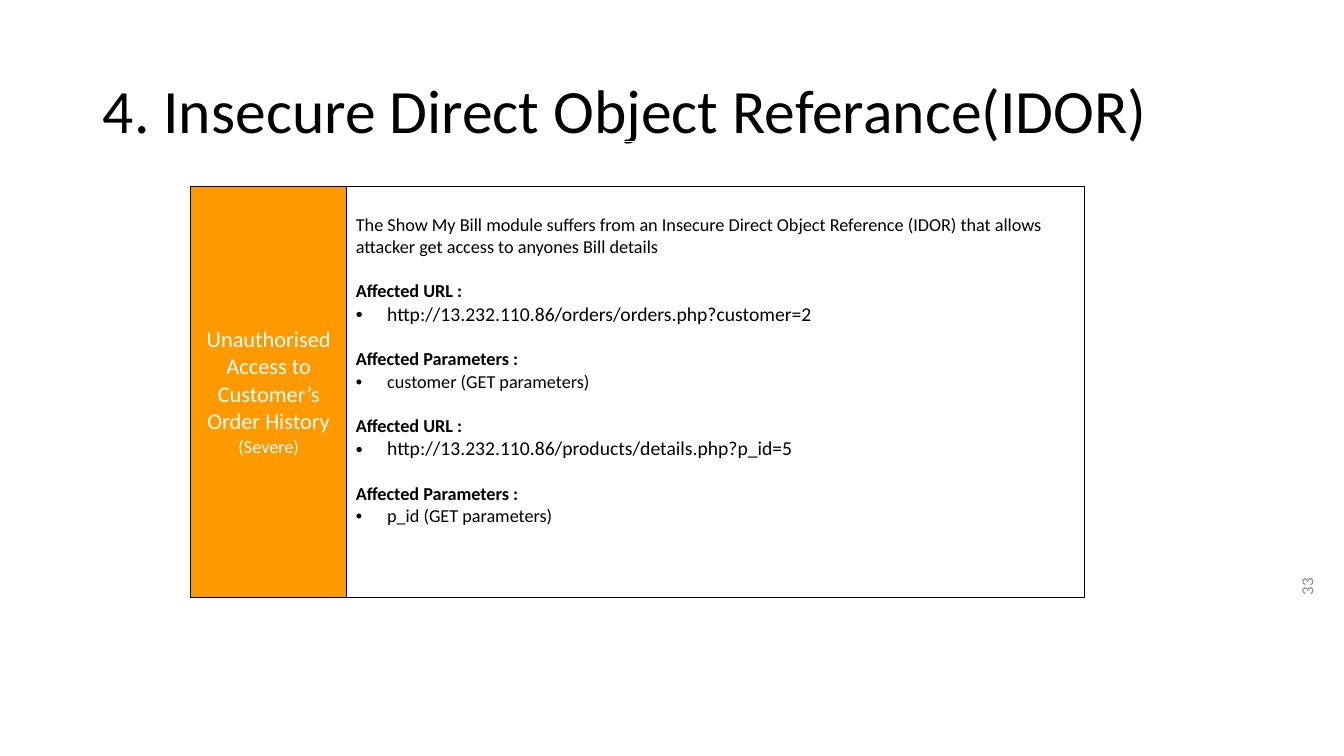
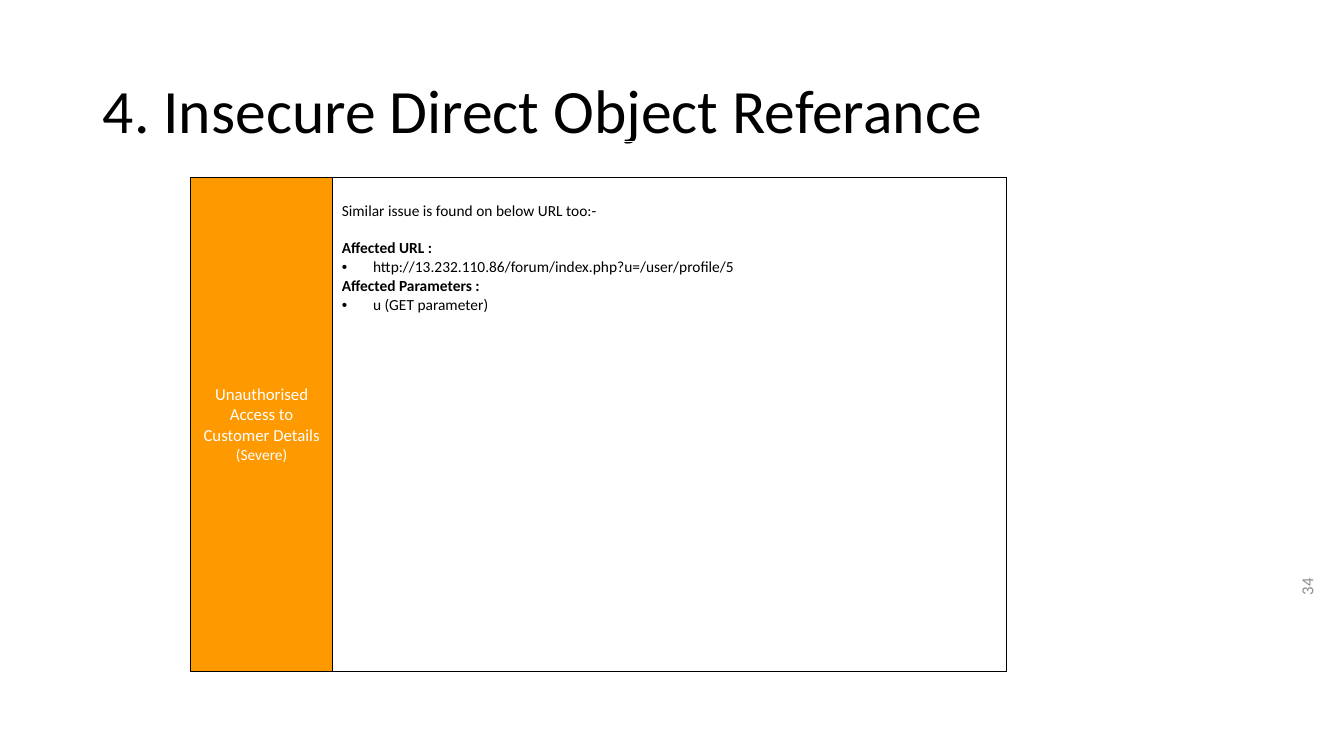
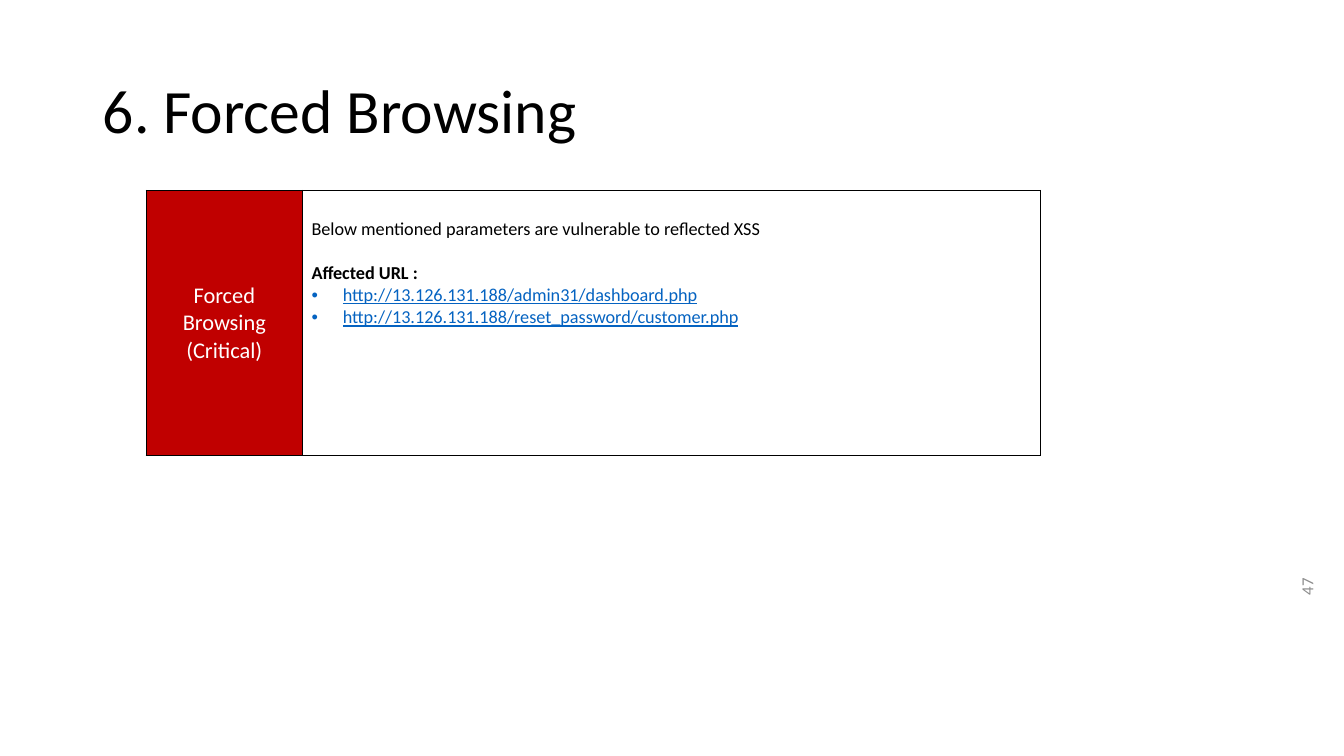
from dataclasses import dataclass

from lxml import etree
from pptx import Presentation
from pptx.dml.color import RGBColor
from pptx.enum import text
from pptx.oxml.ns import qn
from pptx.util import Inches, Pt


@dataclass(frozen=True)
class Theme:
    font: str = "Calibri"
    ink: str = "000000"
    paper: str = "FFFFFF"
    link: str = "0563C1"
    muted: str = "8C8C8C"
    severe: str = "FF9900"
    critical: str = "C00000"
    title_size: int = 44
    number_size: int = 12
    border: int = 1
    line_height: float = 1.22
    bullet_indent: float = 0.31


THEME = Theme()


@dataclass(frozen=True)
class Line:
    """One paragraph of a finding; gap puts one line of space above it."""
    words: str
    size: int
    kind: str = "plain"
    gap: bool = False


@dataclass(frozen=True)
class Finding:
    title: str
    number: str
    left: float
    top: float
    columns: tuple
    rows: tuple
    color: str
    label: tuple
    body_size: int
    body: tuple


FINDINGS = (
    Finding(
        "4. Insecure Direct Object Referance(IDOR)", "33",
        1.89, 1.4, (1.55, 7.32), (0.45, 4.08), THEME.severe,
        (Line("Unauthorised Access to Customer’s Order History", 16),
         Line("(Severe)", 13)),
        13,
        (Line("The Show My Bill module suffers from an Insecure Direct Object "
              "Reference (IDOR) that allows attacker get access to anyones "
              "Bill details", 13),
         Line("Affected URL :", 13, "heading", True),
         Line("http://13.232.110.86/orders/orders.php?customer=2", 14, "bullet"),
         Line("Affected Parameters :", 13, "heading", True),
         Line("customer (GET parameters)", 13, "bullet"),
         Line("Affected URL :", 13, "heading", True),
         Line("http://13.232.110.86/products/details.php?p_id=5", 14, "bullet"),
         Line("Affected Parameters :", 13, "heading", True),
         Line("p_id (GET parameters)", 13, "bullet"))),
    Finding(
        "4. Insecure Direct Object Referance", "34",
        1.89, 1.4, (1.41, 6.68), (0.36, 4.9), THEME.severe,
        (Line("Unauthorised Access to Customer Details", 12),
         Line("(Severe)", 11)),
        11,
        (Line("Similar issue is found on below URL too:-", 11),
         Line("Affected URL :", 11, "heading", True),
         Line("http://13.232.110.86/forum/index.php?u=/user/profile/5", 11,
              "bullet"),
         Line("Affected Parameters :", 11, "heading"),
         Line("u (GET parameter)", 11, "bullet"))),
    Finding(
        "6. Forced Browsing", "47",
        1.45, 1.43, (1.55, 7.32), (0.46, 2.63), THEME.critical,
        (Line("Forced Browsing", 16), Line("(Critical)", 16)),
        13,
        (Line("Below mentioned parameters are vulnerable to reflected XSS", 13),
         Line("Affected URL :", 13, "heading", True),
         Line("http://13.126.131.188/admin31/dashboard.php", 13, "link"),
         Line("http://13.126.131.188/reset_password/customer.php", 13, "link"))),
)


def style(para, size, color):
    para.font.name = THEME.font
    para.font.size = Pt(size)
    para.font.color.rgb = RGBColor.from_string(color)


def add_bullet(para):
    properties = para._p.get_or_add_pPr()
    indent = Inches(THEME.bullet_indent)
    properties.set("marL", str(indent))
    properties.set("indent", str(-indent))
    etree.SubElement(properties, qn("a:buFont")).set("typeface", "Arial")
    etree.SubElement(properties, qn("a:buChar")).set("char", "•")


def write_lines(frame, lines, color, align):
    for index, line in enumerate(lines):
        para = frame.add_paragraph() if index else frame.paragraphs[0]
        para.text = line.words
        if line.kind in ("bullet", "link"):
            add_bullet(para)
        para.alignment = align
        if line.gap:
            para.space_before = Pt(line.size * THEME.line_height)
        style(para, line.size, THEME.link if line.kind == "link" else color)
        if line.kind == "heading":
            para.font.bold = True
        if line.kind == "link":
            para.font.underline = True


def add_borders(cell, sides):
    properties = cell._tc.get_or_add_tcPr()
    for side in sides:
        edge = etree.SubElement(properties, qn(f"a:ln{side}"))
        edge.set("w", str(Pt(THEME.border)))
        fill = etree.SubElement(edge, qn("a:solidFill"))
        etree.SubElement(fill, qn("a:srgbClr")).set("val", THEME.ink)


def fill_cell(cell, color):
    add_borders(cell, "LRTB")
    cell.fill.solid()
    cell.fill.fore_color.rgb = RGBColor.from_string(color)
    cell.margin_left = cell.margin_right = Inches(0.09)
    cell.margin_top = cell.margin_bottom = Inches(0.05)


def set_title(page, words):
    title = page.shapes.title
    title.left, title.top = Inches(0.92), Inches(0.4)
    title.width, title.height = Inches(11.5), Inches(1.45)
    frame = title.text_frame
    frame.text = words
    frame.vertical_anchor = text.MSO_ANCHOR.MIDDLE
    para = frame.paragraphs[0]
    para.alignment = text.PP_ALIGN.LEFT
    para.line_spacing = 0.9
    style(para, THEME.title_size, THEME.ink)


def add_page_number(page, number):
    box = page.shapes.add_textbox(
        Inches(12.24), Inches(6.11), Inches(1.44), Inches(0.5))
    box.rotation = 270
    frame = box.text_frame
    frame.word_wrap = True
    frame.vertical_anchor = text.MSO_ANCHOR.MIDDLE
    frame.text = number
    para = frame.paragraphs[0]
    para.alignment = text.PP_ALIGN.RIGHT
    style(para, THEME.number_size, THEME.muted)


def add_finding_table(page, finding):
    """Add an open top row above a coloured label and its details."""
    table = page.shapes.add_table(
        2, 2, Inches(finding.left), Inches(finding.top),
        Inches(sum(finding.columns)), Inches(sum(finding.rows))).table
    table.first_row = table.horz_banding = False
    for column, width in zip(table.columns, finding.columns):
        column.width = Inches(width)
    for row, height in zip(table.rows, finding.rows):
        row.height = Inches(height)

    for cell in table.rows[0].cells:
        add_borders(cell, "B")
        cell.fill.background()
        style(cell.text_frame.paragraphs[0], finding.body_size, THEME.ink)

    label, details = table.rows[1].cells
    fill_cell(label, finding.color)
    label.vertical_anchor = text.MSO_ANCHOR.MIDDLE
    write_lines(label.text_frame, finding.label, THEME.paper,
                text.PP_ALIGN.CENTER)
    fill_cell(details, THEME.paper)
    details.margin_top += Pt(finding.body_size * THEME.line_height)
    write_lines(details.text_frame, finding.body, THEME.ink,
                text.PP_ALIGN.LEFT)


def main():
    deck = Presentation()
    deck.slide_width, deck.slide_height = Inches(13.33), Inches(7.5)
    title_only = deck.slide_layouts.get_by_name("Title Only")
    for finding in FINDINGS:
        page = deck.slides.add_slide(title_only)
        add_page_number(page, finding.number)
        set_title(page, finding.title)
        add_finding_table(page, finding)
    deck.save("out.pptx")


if __name__ == "__main__":
    main()
